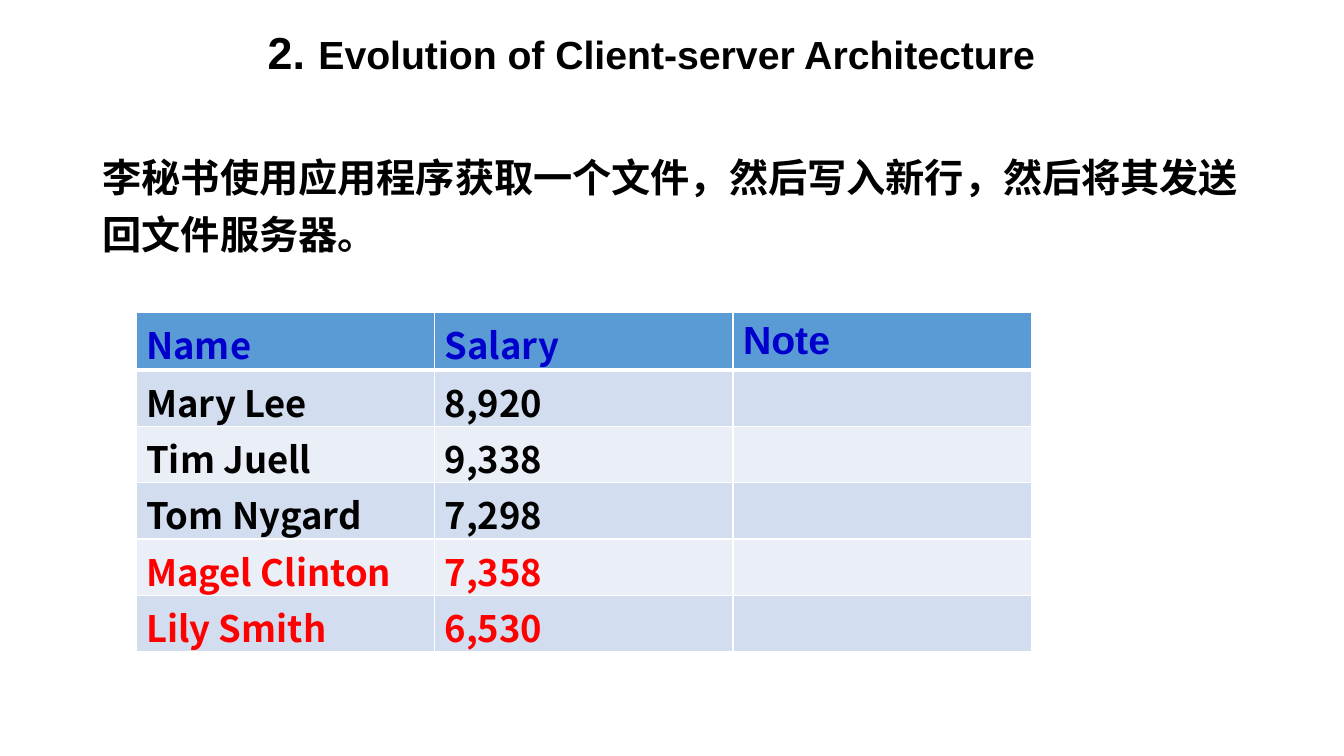
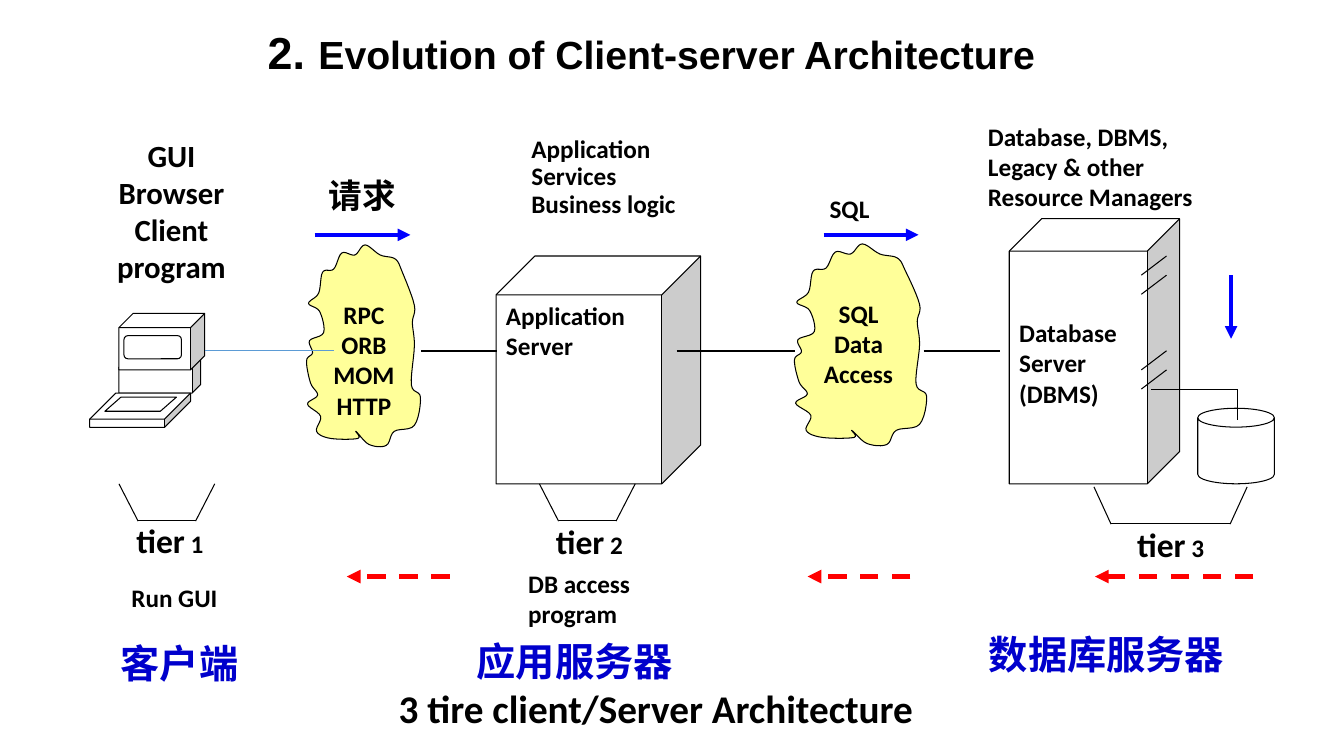
from dataclasses import dataclass
from typing import NamedTuple

from lxml.etree import SubElement
from pptx import Presentation
from pptx.dml.color import RGBColor
from pptx.enum.dml import MSO_LINE
from pptx.enum.shapes import MSO_CONNECTOR, MSO_SHAPE
from pptx.enum.text import MSO_ANCHOR, PP_ALIGN
from pptx.oxml.ns import qn
from pptx.util import Inches, Pt

BLACK = RGBColor(0, 0, 0)
WHITE = RGBColor(0xFF, 0xFF, 0xFF)
NAVY = RGBColor(0, 0, 0xCC)
BLUE = RGBColor(0, 0, 0xFF)
RED = RGBColor(0xFF, 0, 0)
CLOUD_YELLOW = RGBColor(0xFF, 0xFF, 0x99)
HEADER_BLUE = RGBColor(0x5B, 0x9B, 0xD5)
BAND_DARK = RGBColor(0xD2, 0xDE, 0xEF)
BAND_LIGHT = RGBColor(0xEA, 0xEF, 0xF7)
LATIN, SANS, CJK = "Calibri", "Arial", "Noto Sans CJK SC"
THIN = 0.75


class Style(NamedTuple):
    size: float
    font: str = LATIN
    color: RGBColor = BLACK


class Run(NamedTuple):
    text: str
    style: Style


Paragraphs = list[list[Run]]
BODY = Style(18)
TIER = Style(24)
ROLE = Style(28, CJK, NAVY)


@dataclass
class Label:
    left: float
    top: float
    width: float
    height: float
    paragraphs: Paragraphs
    align: PP_ALIGN = PP_ALIGN.LEFT
    spacing: float = 1.0
    wrap: bool = True
    margins: tuple[float, float] = (0.1, 0.05)


@dataclass
class Solid:
    kind: MSO_SHAPE
    left: float
    top: float
    width: float
    height: float
    adjust: float


@dataclass
class Line:
    x1: float
    y1: float
    x2: float
    y2: float
    width: float = THIN
    color: RGBColor = BLACK
    arrow: bool = False
    dashed: bool = False


class Bracket(NamedTuple):
    left: float
    right: float
    base: float
    flare: float


def rows(*texts: str, style: Style = BODY) -> Paragraphs:
    """One single-run paragraph for each text."""
    return [[Run(text, style)] for text in texts]


def tier(number: int) -> Paragraphs:
    return [[Run("tier", TIER), Run(f" {number}", BODY)]]


def write(frame, paragraphs: Paragraphs, align=PP_ALIGN.LEFT, spacing: float = 1.0) -> None:
    for index, runs in enumerate(paragraphs):
        paragraph = frame.add_paragraph() if index else frame.paragraphs[0]
        for name, value in {"alignment": align, "line_spacing": spacing}.items():
            setattr(paragraph, name, value)
        for text, style in runs:
            run = paragraph.add_run()
            run.text = text
            for name, value in {"size": Pt(style.size), "name": style.font, "bold": True}.items():
                setattr(run.font, name, value)
            run.font.color.rgb = style.color
            SubElement(run.font._element, qn("a:ea"), typeface=style.font)


def draw_label(slide, label: Label):
    box = slide.shapes.add_textbox(*map(Inches, (label.left, label.top, label.width, label.height)))
    side, edge = map(Inches, label.margins)
    frame_format = {"word_wrap": label.wrap, "margin_left": side, "margin_right": side,
                    "margin_top": edge, "margin_bottom": edge}
    for name, value in frame_format.items():
        setattr(box.text_frame, name, value)
    write(box.text_frame, label.paragraphs, label.align, label.spacing)
    return box


def paint(shape, fill: RGBColor) -> None:
    shape.shadow.inherit = False
    shape.fill.solid()
    shape.fill.fore_color.rgb = fill
    shape.line.color.rgb = BLACK
    shape.line.width = Pt(THIN)


def draw_solid(slide, solid: Solid, paragraphs: Paragraphs = (), margin_top: float = 0.05) -> None:
    shape = slide.shapes.add_shape(
        solid.kind, *map(Inches, (solid.left, solid.top, solid.width, solid.height)))
    shape.adjustments[0] = solid.adjust
    paint(shape, WHITE)
    if paragraphs:
        shape.text_frame.vertical_anchor = MSO_ANCHOR.TOP
        shape.text_frame.margin_top = Inches(margin_top)
        write(shape.text_frame, paragraphs)


def draw_line(slide, line: Line) -> None:
    connector = slide.shapes.add_connector(
        MSO_CONNECTOR.STRAIGHT, *map(Inches, (line.x1, line.y1, line.x2, line.y2)))
    connector.line.color.rgb = line.color
    connector.line.width = Pt(line.width)
    if line.dashed:
        connector.line.dash_style = MSO_LINE.DASH
    if line.arrow:
        SubElement(connector.line._get_or_add_ln(), qn("a:tailEnd"), type="triangle")
    SubElement(connector._element.spPr, qn("a:effectLst"))


def draw_bracket(slide, bracket: Bracket) -> None:
    left, right, base, flare = bracket
    draw_line(slide, Line(left, base, right, base))
    for x, tip in ((left, left - flare), (right, right + flare)):
        draw_line(slide, Line(x, base + 0.01, tip, base - 0.36))


# Bumps and notches of the cloud in hundredths of an inch, clockwise.
CLOUD_KNOTS = (
    (13, 66), (2, 58), (12, 48), (16, 27), (27, 24), (35, 8), (48, 10), (58, 0),
    (73, 10), (88, 14), (95, 27), (107, 60), (105, 77), (107, 100), (104, 139), (113, 151),
    (107, 179), (87, 185), (79, 199), (62, 198), (49, 185), (51, 192), (24, 192), (10, 185),
    (14, 170), (1, 158), (11, 149), (4, 137), (0, 115), (6, 107), (3, 95), (17, 87))
CURVE_STEPS = 6


def cloud_points() -> list[tuple[float, float]]:
    """Smooth closed curve through the knots (Catmull-Rom)."""
    points = []
    for index in range(len(CLOUD_KNOTS)):
        near = [CLOUD_KNOTS[(index + shift) % len(CLOUD_KNOTS)] for shift in (-1, 0, 1, 2)]
        for step in range(CURVE_STEPS):
            t = step / CURVE_STEPS
            points.append(tuple(
                b + t / 2 * (c - a + t * (2 * a - 5 * b + 4 * c - d + t * (3 * b - a - 3 * c + d)))
                for a, b, c, d in zip(*near)))
    return points


def draw_cloud(slide, left: float, top: float, stretch: float) -> None:
    outline = [(Inches(left + x * stretch / 100), Inches(top + y / 100)) for x, y in cloud_points()]
    builder = slide.shapes.build_freeform(*outline[0])
    builder.add_line_segments(outline[1:], close=True)
    paint(builder.convert_to_shape(), CLOUD_YELLOW)


def add_titled_slide(presentation):
    slide = presentation.slides.add_slide(presentation.slide_layouts[6])
    title = [[Run(" ", Style(32, SANS)),
              Run("Evolution of Client-server Architecture", Style(28, SANS))]]
    box = draw_label(slide, Label(2.51, 0.2, 7.9, 0.64, title, PP_ALIGN.CENTER, wrap=False))
    properties = box.text_frame.paragraphs[0]._p.get_or_add_pPr()
    properties.set("marL", str(Inches(0.38)))
    properties.set("indent", str(Inches(-0.38)))
    SubElement(properties, qn("a:buFont"), typeface=SANS)
    SubElement(properties, qn("a:buAutoNum"), type="arabicPeriod", startAt="2")
    return slide


def style_cell(cell, fill: RGBColor, bottom_width: float) -> None:
    properties = cell._tc.get_or_add_tcPr()
    for side, width in (("L", 1), ("R", 1), ("T", 1), ("B", bottom_width)):
        border = SubElement(properties, qn(f"a:ln{side}"), w=str(Pt(width)))
        SubElement(SubElement(border, qn("a:solidFill")), qn("a:srgbClr"), val=str(WHITE))
    cell.fill.solid()
    cell.fill.fore_color.rgb = fill
    cell.vertical_anchor = MSO_ANCHOR.MIDDLE


SALARIES = (("Name", "Salary", "Note"), ("Mary Lee", "8,920", ""), ("Tim Juell", "9,338", ""),
            ("Tom Nygard", "7,298", ""), ("Magel Clinton", "7,358", ""), ("Lily Smith", "6,530", ""))
FIRST_NEW_ROW = 4


def draw_salaries(slide) -> None:
    frame = slide.shapes.add_table(len(SALARIES), 3, *map(Inches, (1.35, 3.1, 8.88, 3.36)))
    for row, values in enumerate(SALARIES):
        fill = (BAND_DARK if row % 2 else BAND_LIGHT) if row else HEADER_BLUE
        color = (RED if row >= FIRST_NEW_ROW else BLACK) if row else NAVY
        for column, value in enumerate(values):
            cell = frame.table.cell(row, column)
            style_cell(cell, fill, 1 if row else 3)
            if value:
                style = Style(28, SANS, color) if value == "Note" else Style(26, CJK, color)
                write(cell.text_frame, rows(value, style=style))


def build_file_slide(presentation) -> None:
    slide = add_titled_slide(presentation)
    task = rows("李秘书使用应用程序获取一个文件，然后写入新行，然后将其发送回文件服务器。", style=Style(28, CJK))
    draw_label(slide, Label(0.92, 1.38, 11.64, 1.23, task, spacing=1.2))
    draw_salaries(slide)


CENTER = PP_ALIGN.CENTER
COMPUTER = (
    Solid(MSO_SHAPE.CUBE, 1.18, 3.56, 0.81, 0.34, 0.25),
    Solid(MSO_SHAPE.CUBE, 1.18, 3.11, 0.85, 0.56, 0.25),
    Solid(MSO_SHAPE.ROUNDED_RECTANGLE, 1.23, 3.33, 0.57, 0.23, 0.17),
    Solid(MSO_SHAPE.CUBE, 0.89, 3.9, 1, 0.34, 0.76),
    Solid(MSO_SHAPE.PARALLELOGRAM, 1.04, 3.94, 0.71, 0.14, 1.14))
DATABASE_SERVER = Solid(MSO_SHAPE.CUBE, 10.01, 2.17, 1.69, 2.63, 0.19)
APPLICATION_SERVER = Solid(MSO_SHAPE.CUBE, 4.92, 2.54, 2.03, 2.26, 0.19)
DISK = Solid(MSO_SHAPE.CAN, 11.88, 4.05, 0.76, 0.75, 0.25)
BRACKETS = (Bracket(1.37, 1.94, 5.16, 0.19), Bracket(5.54, 6.11, 5.16, 0.19),
            Bracket(11.02, 12.2, 5.19, 0.17))
VENTS = [Line(11.32, y, 11.57, y - 0.19) for y in (2.73, 2.92, 3.67, 3.86)]
LINKS = [Line(x1, 3.48, x2, 3.48, 1.5) for x1, x2 in ((4.18, 4.93), (6.71, 7.89), (9.16, 9.92))]
DISK_LINKS = [Line(11.42, 3.86, 12.27, 3.86), Line(12.27, 3.86, 12.27, 4.17)]
REQUESTS = [Line(x1, y1, x2, y2, 3, BLUE, arrow=True) for x1, y1, x2, y2 in (
    (3.12, 2.33, 4.07, 2.33), (8.17, 2.33, 9.11, 2.33), (12.21, 2.73, 12.21, 3.36))]
REPLIES = [Line(x1, 5.72, x2, 5.72, 3.25, RED, arrow=True, dashed=True)
           for x1, x2 in ((12.43, 10.86), (9.03, 8.01), (4.46, 3.44))]
CLIENT_LINK = Line(2.03, 3.48, 3.31, 3.48, 0.5, HEADER_BLUE)
LABELS = (
    Label(0.94, 1.31, 1.52, 1.62, rows("GUI", "Browser", "Client program", style=Style(22)),
          CENTER, margins=(0, 0.05)),
    Label(5.27, 1.31, 1.69, 1.13, rows("Application", "Services", "Business logic"),
          PP_ALIGN.JUSTIFY, 0.9, margins=(0, 0.05)),
    Label(9.7, 1.15, 2.59, 0.94, rows("Database, DBMS, Legacy & other Resource Managers")),
    Label(3.23, 2.92, 0.76, 1.69, rows("RPC", "ORB", "MOM", "HTTP"), CENTER, margins=(0, 0.05)),
    Label(8.07, 2.91, 0.89, 1.69, rows("SQL", "Data", "Access"), CENTER, margins=(0, 0.05)),
    Label(3.16, 1.69, 0.88, 0.5, rows("请求", style=Style(24, CJK)), wrap=False),
    Label(8.13, 1.87, 0.6, 0.4, rows("SQL"), wrap=False),
    Label(1.21, 5.16, 0.95, 0.33, tier(1), CENTER, margins=(0.1, 0)),
    Label(5.37, 5.12, 0.95, 0.56, tier(2), CENTER),
    Label(11.02, 5.15, 1.18, 0.56, tier(3), CENTER),
    Label(1.02, 5.73, 1.42, 0.4, rows("Run GUI"), CENTER),
    Label(5.14, 5.59, 1.5, 0.7, rows("DB access program")),
    Label(1.1, 6.29, 1.38, 0.57, rows("客户端", style=ROLE), wrap=False),
    Label(4.63, 6.27, 2.32, 0.57, rows("应用服务器", style=ROLE)),
    Label(9.71, 6.2, 2.93, 0.57, rows("数据库服务器", style=ROLE)),
    Label(3.12, 6.74, 6.77, 0.57, rows("3 tire client/Server Architecture", style=Style(28)), CENTER))


def build_tier_slide(presentation) -> None:
    slide = add_titled_slide(presentation)
    for solid in COMPUTER:
        draw_solid(slide, solid)
    draw_solid(slide, DATABASE_SERVER, rows("Database", "Server", "(DBMS)"), margin_top=0.66)
    draw_solid(slide, APPLICATION_SERVER, rows("Application", "Server"))
    draw_solid(slide, DISK)
    draw_cloud(slide, 3.04, 2.43, 1)
    draw_cloud(slide, 7.88, 2.42, 1.16)
    for bracket in BRACKETS:
        draw_bracket(slide, bracket)
    for line in (*VENTS, *LINKS, *DISK_LINKS, *REQUESTS, *REPLIES, CLIENT_LINK):
        draw_line(slide, line)
    for label in LABELS:
        draw_label(slide, label)


def main() -> None:
    presentation = Presentation()
    presentation.slide_width, presentation.slide_height = Inches(13.33), Inches(7.5)
    build_file_slide(presentation)
    build_tier_slide(presentation)
    presentation.save("out.pptx")


if __name__ == "__main__":
    main()
